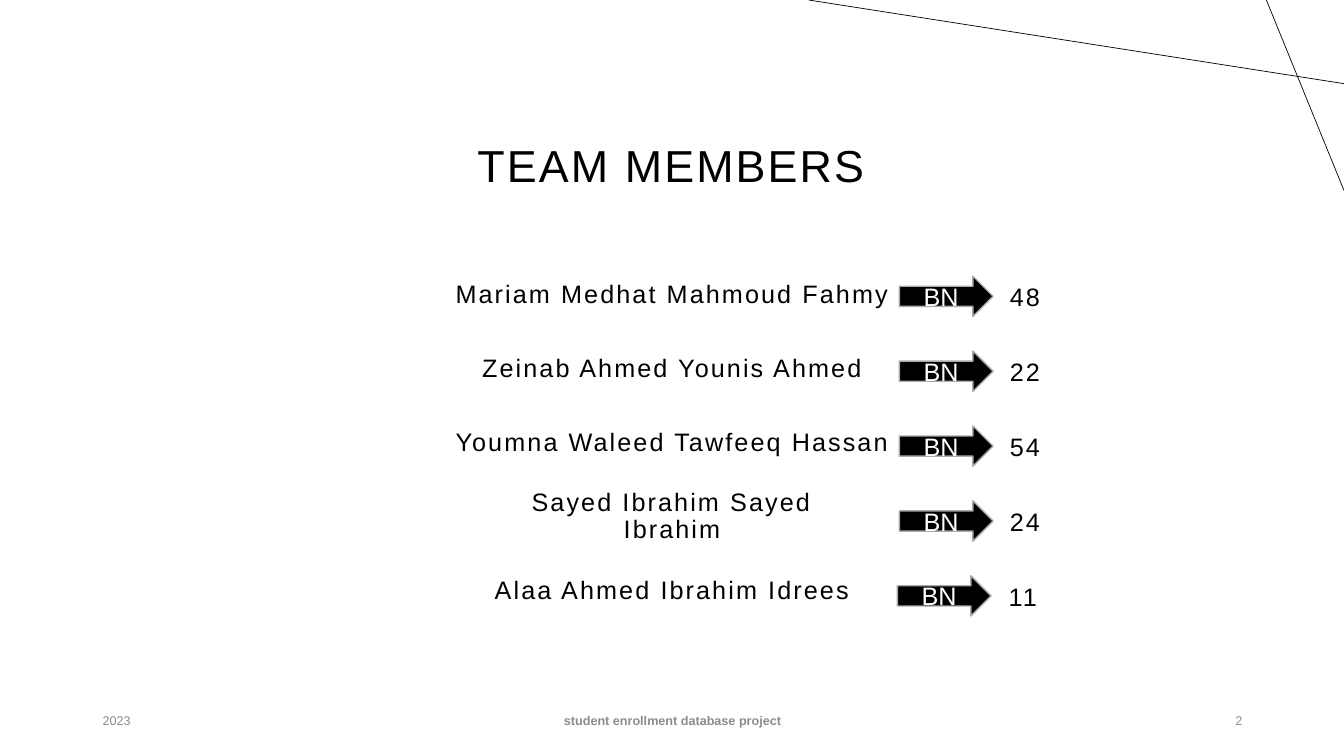
from dataclasses import dataclass

from lxml.etree import SubElement
from pptx import Presentation
from pptx.dml.color import RGBColor
from pptx.enum.shapes import MSO_CONNECTOR, MSO_SHAPE
from pptx.enum.text import MSO_ANCHOR, PP_ALIGN
from pptx.oxml.ns import qn
from pptx.util import Inches, Pt

SLIDE_WIDTH, SLIDE_HEIGHT = 13.33, 7.5
COLORS = {"ink": "000000", "paper": "FFFFFF", "edge": "ACAAA5", "footer": "8C8C8C"}
FONT = "Arial"

FIRST_ROW = 2.74
NAME_PITCH, BADGE_PITCH = 0.733, 0.743
TEXT_HEIGHT = 0.38
NAME_CENTER = SLIDE_WIDTH / 2
WIDE, NARROW = 4.5, 4.02
ARROW_LEFT, ARROW_WIDTH, ARROW_HEIGHT = 8.92, 0.93, 0.4
NUMBER_WIDTH, NUMBER_DROP = 0.63, 0.03
FOOTER_TOP, FOOTER_HEIGHT = 6.95, 0.4


@dataclass(frozen=True)
class Member:
    """A team member, the bench number and the place of the row's parts."""
    name: str
    number: str
    name_width: float
    arrow_left: float = ARROW_LEFT


@dataclass(frozen=True)
class Style:
    """The look of one line of text."""
    size: float
    color: str = "ink"
    align: PP_ALIGN = PP_ALIGN.CENTER
    bold: bool = False
    tracking: float = 0
    line_spacing: float = 1.0
    space_before: float = 0


@dataclass(frozen=True)
class FooterItem:
    """One part of the footer."""
    text: str
    left: float
    width: float
    style: Style


MEMBERS = [
    Member("Mariam Medhat Mahmoud Fahmy", "48", WIDE),
    Member("Zeinab Ahmed Younis Ahmed", "22", NARROW),
    Member("Youmna Waleed Tawfeeq Hassan", "54", WIDE),
    Member("Sayed Ibrahim Sayed Ibrahim", "24", NARROW),
    Member("Alaa Ahmed Ibrahim Idrees", "11", WIDE, ARROW_LEFT - 0.02),
]
TITLE = Style(32, tracking=1.5, line_spacing=0.9)
BODY = Style(18, tracking=1.5, line_spacing=0.9, space_before=10)
BADGE = Style(18, "paper")
FOOTER = [
    FooterItem("2023", 0.92, 3, Style(9, "footer", PP_ALIGN.LEFT)),
    FooterItem("student enrollment database project", 4.42, WIDE,
               Style(9, "footer", bold=True)),
    FooterItem("2", 9.42, 3, Style(9, "footer", PP_ALIGN.RIGHT)),
]
CORNER_LINES = [
    ((SLIDE_WIDTH, 0.83), (8.02, 0)),
    ((12.56, 0), (SLIDE_WIDTH, 1.89)),
]


def rgb(name: str) -> RGBColor:
    """Return a named colour."""
    return RGBColor.from_string(COLORS[name])


def write(shape, text: str, style: Style) -> None:
    """Put one styled paragraph into a shape."""
    frame = shape.text_frame
    frame.word_wrap = True
    frame.vertical_anchor = MSO_ANCHOR.MIDDLE
    frame.text = text
    paragraph = frame.paragraphs[0]
    paragraph.alignment = style.align
    paragraph.line_spacing = style.line_spacing
    paragraph.space_before = Pt(style.space_before)
    run = paragraph.runs[0]
    run.font.name = FONT
    run.font.size = Pt(style.size)
    run.font.bold = style.bold
    run.font.color.rgb = rgb(style.color)
    if style.tracking:
        run.font._element.set("spc", str(int(style.tracking * 100)))


def add_text(slide, text: str, left: float, top: float, width: float,
             height: float, style: Style) -> None:
    """Add a text box."""
    box = slide.shapes.add_textbox(*map(Inches, (left, top, width, height)))
    write(box, text, style)


def add_arrow(slide, left: float, top: float) -> None:
    """Add the BN arrow that points to a number."""
    arrow = slide.shapes.add_shape(
        MSO_SHAPE.RIGHT_ARROW, *map(Inches, (left, top, ARROW_WIDTH, ARROW_HEIGHT)))
    arrow.shadow.inherit = False
    arrow.fill.solid()
    arrow.fill.fore_color.rgb = rgb("ink")
    arrow.line.color.rgb = rgb("edge")
    arrow.line.width = Pt(1)
    write(arrow, "BN", BADGE)


def add_member(slide, row: int, member: Member) -> None:
    """Add a member's name, arrow and number."""
    add_text(slide, member.name, NAME_CENTER - member.name_width / 2,
             FIRST_ROW + row * NAME_PITCH, member.name_width, TEXT_HEIGHT, BODY)
    badge_top = FIRST_ROW + row * BADGE_PITCH
    add_arrow(slide, member.arrow_left, badge_top)
    add_text(slide, member.number, member.arrow_left + ARROW_WIDTH,
             badge_top + NUMBER_DROP, NUMBER_WIDTH, TEXT_HEIGHT, BODY)


def add_line(slide, start: tuple[float, float], end: tuple[float, float]) -> None:
    """Add a thin straight line."""
    line = slide.shapes.add_connector(
        MSO_CONNECTOR.STRAIGHT, *map(Inches, (*start, *end)))
    line.line.color.rgb = rgb("ink")
    line.line.width = Pt(0.5)
    SubElement(line._element.spPr, qn("a:effectLst"))


def main() -> None:
    """Build and save the team slide."""
    presentation = Presentation()
    presentation.slide_width = Inches(SLIDE_WIDTH)
    presentation.slide_height = Inches(SLIDE_HEIGHT)
    slide = presentation.slides.add_slide(presentation.slide_layouts[6])
    for start, end in CORNER_LINES:
        add_line(slide, start, end)
    add_text(slide, "TEAM MEMBERS", 2.05, 0.94, 9.21, 1.45, TITLE)
    for row, member in enumerate(MEMBERS):
        add_member(slide, row, member)
    for item in FOOTER:
        add_text(slide, item.text, item.left, FOOTER_TOP, item.width,
                 FOOTER_HEIGHT, item.style)
    presentation.save("out.pptx")


main()
